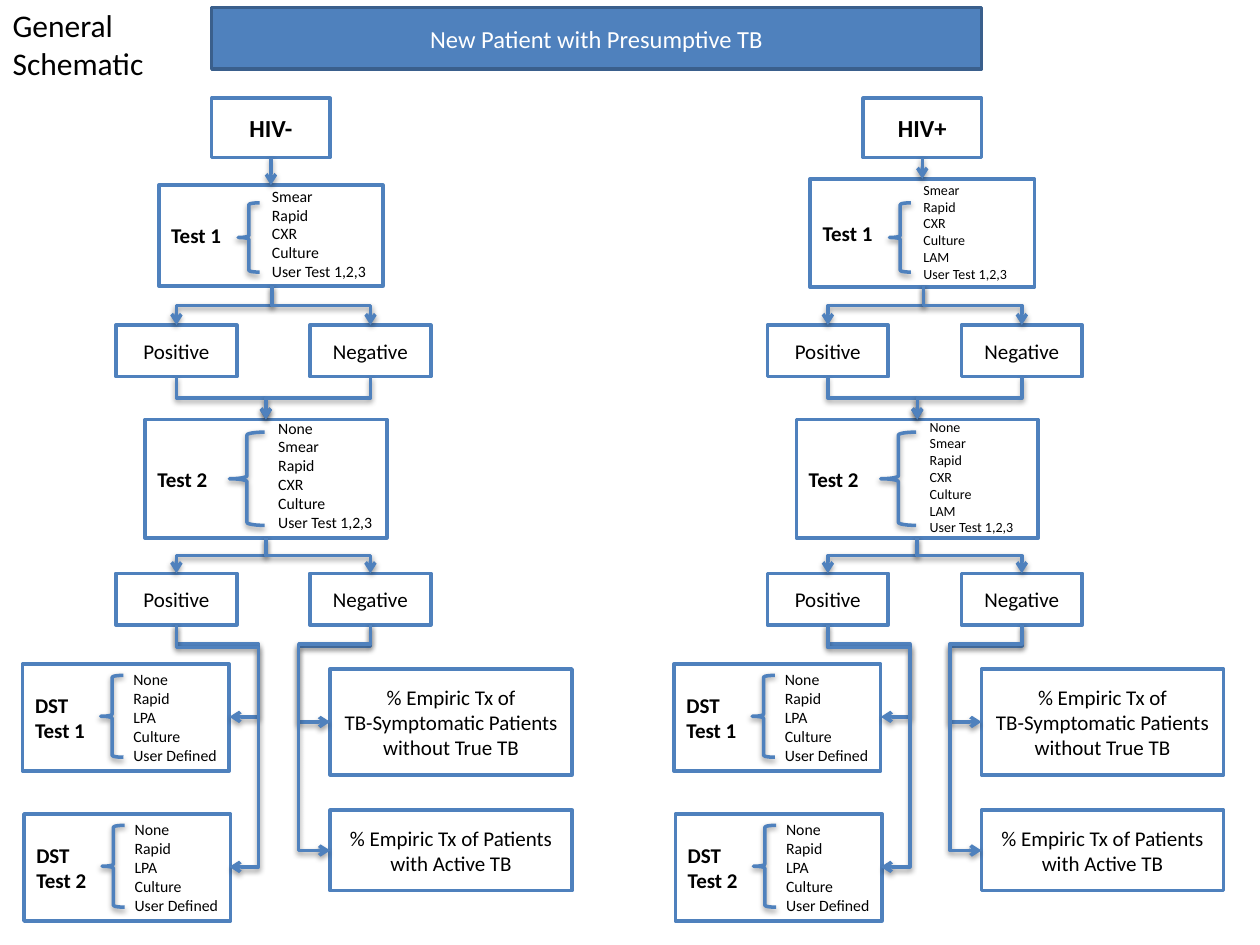
from dataclasses import dataclass
from typing import Optional

from lxml.etree import SubElement
from pptx import Presentation
from pptx.dml.color import RGBColor
from pptx.enum.shapes import MSO_CONNECTOR, MSO_SHAPE
from pptx.enum.text import MSO_ANCHOR, MSO_AUTO_SIZE, PP_ALIGN
from pptx.oxml.ns import qn
from pptx.util import Inches, Pt

BLUE = RGBColor(0x4F, 0x81, 0xBD)
DARK_BLUE = RGBColor(0x3A, 0x5F, 0x8C)
WHITE = RGBColor(0xFF, 0xFF, 0xFF)
BLACK = RGBColor(0x00, 0x00, 0x00)
LINE_WIDTH = Pt(2)
Point = tuple[float, float]


@dataclass
class Area:
    left: float
    top: float
    width: float
    height: float

    def moved(self, shift: float) -> "Area":
        return Area(self.left + shift, self.top, self.width, self.height)

    def inches(self) -> list[int]:
        return [Inches(v) for v in (self.left, self.top, self.width, self.height)]


@dataclass
class Box:
    area: Area
    lines: list[str]
    size: int = 12
    bold: bool = False


@dataclass
class TestPanel:
    area: Area
    label: list[str]
    brace: Area
    choices_area: Area
    choices: list[str]
    choice_size: int = 9


@dataclass
class Arrow:
    start: Point
    end: Point
    bend_y: Optional[float] = None   # set for arrows that swing past their target
    bend_x: Optional[float] = None


@dataclass
class Branch:
    shift: float
    status: str
    test_1: TestPanel
    test_2: TestPanel


def write(frame, lines: list[str], size: int, color: RGBColor = BLACK,
          bold: bool = False, align=PP_ALIGN.LEFT) -> None:
    frame.word_wrap = True
    for index, line in enumerate(lines):
        para = frame.paragraphs[0] if index == 0 else frame.add_paragraph()
        para.alignment = align
        span = para.add_run()
        span.text = line
        span.font.name = "Calibri"
        span.font.size = Pt(size)
        span.font.bold = bold
        span.font.color.rgb = color


def draw_box(page, box: Box, shift: float = 0, align=PP_ALIGN.CENTER,
             fill: RGBColor = WHITE, line: RGBColor = BLUE, color: RGBColor = BLACK) -> None:
    shape = page.shapes.add_shape(MSO_SHAPE.RECTANGLE, *box.area.moved(shift).inches())
    shape.shadow.inherit = False
    shape.fill.solid()
    shape.fill.fore_color.rgb = fill
    shape.line.color.rgb = line
    shape.line.width = LINE_WIDTH
    shape.text_frame.vertical_anchor = MSO_ANCHOR.MIDDLE
    write(shape.text_frame, box.lines, box.size, color, box.bold, align)


def draw_panel(page, panel: TestPanel, shift: float) -> None:
    draw_box(page, Box(panel.area, panel.label, bold=True), shift, PP_ALIGN.LEFT)
    choices = page.shapes.add_textbox(*panel.choices_area.moved(shift).inches())
    write(choices.text_frame, panel.choices, panel.choice_size)
    brace = page.shapes.add_shape(MSO_SHAPE.LEFT_BRACE, *panel.brace.moved(shift).inches())
    brace.fill.background()
    brace.line.color.rgb = BLUE
    brace.line.width = LINE_WIDTH
    # Same soft theme shadow as the connectors
    next(brace._element.iter(qn("a:effectRef"))).set("idx", "1")


def draw_arrow(page, arrow: Arrow, shift: float) -> None:
    (x1, y1), (x2, y2) = arrow.start, arrow.end
    x1, x2 = x1 + shift, x2 + shift
    if arrow.start[0] == arrow.end[0]:
        line = page.shapes.add_connector(MSO_CONNECTOR.STRAIGHT, *map(Inches, (x1, y1, x2, y2)))
    else:
        # An elbow leaving downwards is a sideways elbow turned a quarter
        run, rise = y2 - y1, abs(x2 - x1)
        mid_x, mid_y = (x1 + x2) / 2, (y1 + y2) / 2
        corners = (mid_x - run / 2, mid_y - rise / 2, mid_x + run / 2, mid_y + rise / 2)
        line = page.shapes.add_connector(MSO_CONNECTOR.ELBOW, *map(Inches, corners))
        frame = line._element.spPr.find(qn("a:xfrm"))
        frame.set("rot", str((90 if x2 < x1 else 270) * 60000))
        if x2 > x1:
            frame.set("flipH", "1")
        if arrow.bend_y is not None:
            geometry = line._element.spPr.find(qn("a:prstGeom"))
            geometry.set("prst", "bentConnector4")
            guides = geometry.find(qn("a:avLst"))
            if guides is None:
                guides = SubElement(geometry, qn("a:avLst"))
            ratios = ((arrow.bend_y - y1) / run, (arrow.bend_x + shift - x1) / (x2 - x1))
            for number, ratio in enumerate(ratios, 1):
                SubElement(guides, qn("a:gd"), name=f"adj{number}",
                           fmla=f"val {round(ratio * 100000)}")
    line.line.color.rgb = BLUE
    line.line.width = LINE_WIDTH
    SubElement(line.line._get_or_add_ln(), qn("a:tailEnd"), type="arrow")


# Test choices
BASIC_TESTS = ["Smear", "Rapid", "CXR", "Culture"]
USER_TEST = "User Test 1,2,3"
DST_CHOICES = ["None", "Rapid", "LPA", "Culture", "User Defined"]
NEGATIVE_TESTS = BASIC_TESTS + [USER_TEST]
POSITIVE_TESTS = BASIC_TESTS + ["LAM", USER_TEST]


def first_test(top: float, height: float, text_top: float, tests: list[str], size: int) -> TestPanel:
    return TestPanel(Area(1.26, top, 1.78, height), ["Test 1"], Area(1.89, 1.61, 0.17, 0.55),
                     Area(2.06, text_top, 1.19, 0.9), tests, size)


def second_test(tests: list[str], size: int) -> TestPanel:
    return TestPanel(Area(1.15, 3.33, 1.92, 0.94), ["Test 2"], Area(1.82, 3.43, 0.28, 0.74),
                     Area(2.11, 3.27, 1.19, 1.02), ["None"] + tests, size)


BRANCHES = [
    Branch(0, "HIV-", first_test(1.47, 0.8, 1.43, NEGATIVE_TESTS, 9), second_test(NEGATIVE_TESTS, 9)),
    Branch(5.17, "HIV+", first_test(1.42, 0.86, 1.39, POSITIVE_TESTS, 8), second_test(POSITIVE_TESTS, 8)),
]

# Parts shared by both branches
RESULTS = [Box(Area(left, top, 0.96, 0.41), [name])
           for top in (2.58, 4.55) for left, name in ((0.92, "Positive"), (2.46, "Negative"))]
TREATMENTS = [
    Box(Area(2.62, 5.31, 1.92, 0.84), ["% Empiric Tx of", "TB-Symptomatic Patients without True TB"]),
    Box(Area(2.62, 6.43, 1.92, 0.64), ["% Empiric Tx of Patients with Active TB"]),
]
DST_PANELS = [
    TestPanel(Area(left, top, 1.64, 0.85), ["DST", f"Test {number}"],
              Area(left + 0.62, top + 0.09, 0.18, 0.65),
              Area(left + 0.78, top, 1.05, 0.86), DST_CHOICES)
    for number, (left, top) in enumerate([(0.18, 5.27), (0.19, 6.46)], 1)
]
POSITIVE_X, NEGATIVE_X = 1.4, 2.94
ARROWS = [arrow for x in (POSITIVE_X, NEGATIVE_X) for arrow in (
    Arrow((2.16, 2.27), (x, 2.58)),
    Arrow((x, 2.99), (2.11, 3.33)),
    Arrow((2.11, 4.27), (x, 4.55)),
)] + [
    Arrow((NEGATIVE_X, 4.96), (2.62, 5.73), 5.13, 2.37),
    Arrow((NEGATIVE_X, 4.96), (2.62, 6.75), 5.11, 2.37),
    Arrow((POSITIVE_X, 4.96), (1.82, 5.69), 5.11, 2.05),
    Arrow((POSITIVE_X, 4.96), (1.82, 6.88), 5.14, 2.05),
]


def draw_branch(page, branch: Branch) -> None:
    status = Box(Area(1.68, 0.78, 0.94, 0.47), [branch.status], 14, True)
    for box in [status, *RESULTS, *TREATMENTS]:
        draw_box(page, box, branch.shift)
    for panel in [branch.test_1, branch.test_2, *DST_PANELS]:
        draw_panel(page, panel, branch.shift)
    status_arrow = Arrow((2.15, 1.25), (2.15, branch.test_1.area.top))
    for arrow in [status_arrow, *ARROWS]:
        draw_arrow(page, arrow, branch.shift)


def main() -> None:
    deck = Presentation()
    deck.slide_width, deck.slide_height = Inches(10), Inches(7.5)
    page = deck.slides.add_slide(deck.slide_layouts[5])

    # Title
    title = page.shapes.title
    title.left, title.top, title.width, title.height = Area(0, 0, 1.26, 0.7).inches()
    title.text_frame.auto_size = MSO_AUTO_SIZE.NONE
    title.text_frame.vertical_anchor = MSO_ANCHOR.TOP
    write(title.text_frame, ["General Schematic"], 18)

    # Banner and the two branches
    draw_box(page, Box(Area(1.68, 0.06, 6.11, 0.49), ["New Patient with Presumptive TB"], 14),
             fill=BLUE, line=DARK_BLUE, color=WHITE)
    for branch in BRANCHES:
        draw_branch(page, branch)
    deck.save("out.pptx")


if __name__ == "__main__":
    main()
